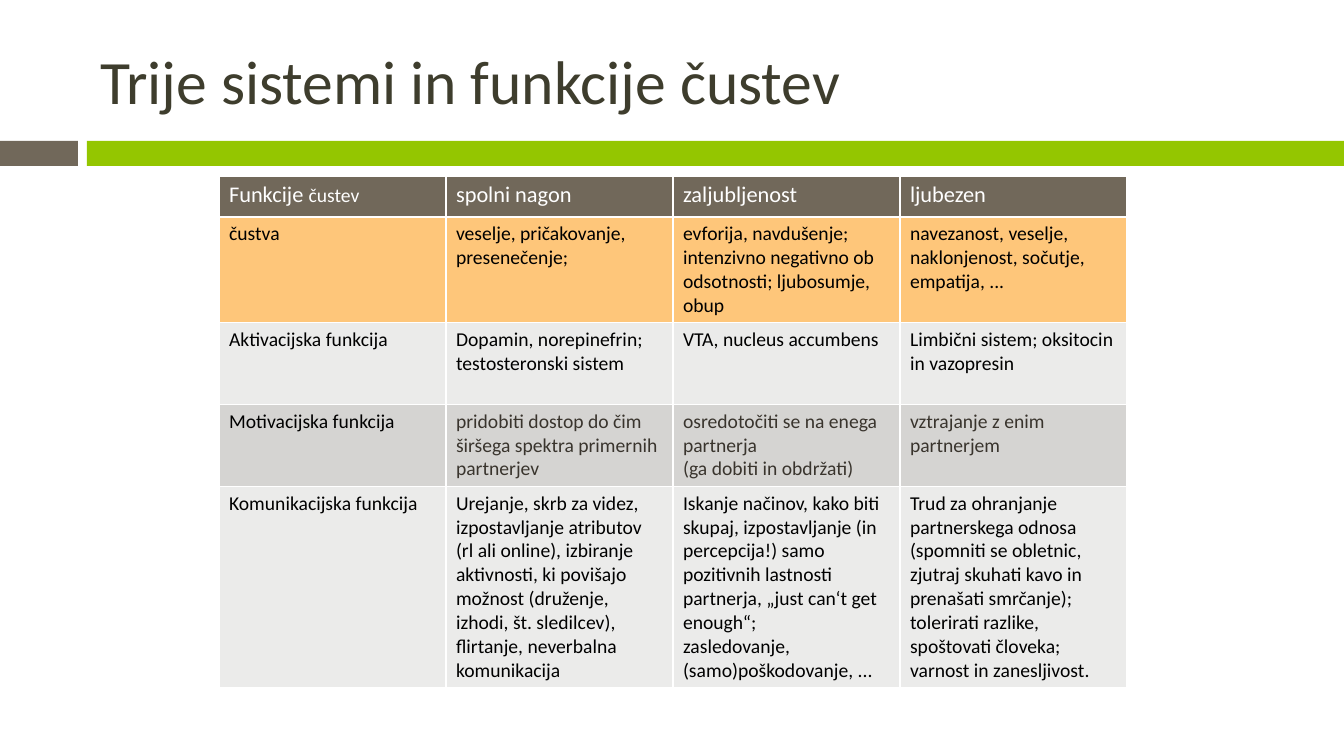
"""Build the slide on three systems and the functions of emotions."""
from dataclasses import dataclass

from lxml.etree import SubElement
from pptx import Presentation
from pptx.dml.color import RGBColor
from pptx.enum.shapes import MSO_SHAPE as Preset
from pptx.enum.text import MSO_ANCHOR as Anchor, MSO_AUTO_SIZE as AutoSize, PP_ALIGN as Align
from pptx.oxml.ns import qn
from pptx.util import Emu, Pt

EMU_PER_PX = 914400 / 100.8


@dataclass(frozen=True)
class Theme:
    font: str = "Calibri"
    title: str = "3E3D2D"
    brown: str = "71685A"
    green: str = "94C600"
    orange: str = "FEC67A"
    light: str = "EBEBEA"
    grey: str = "D5D4D2"
    white: str = "FFFFFF"
    black: str = "000000"
    muted: str = "39342D"
    title_size: int = 44
    header_size: int = 16
    body_size: int = 14
    border_width: int = 1


THEME = Theme()


@dataclass(frozen=True)
class Band:
    left: int
    width: int
    color: str


@dataclass(frozen=True)
class FunctionRow:
    height: int
    fill: str
    texts: tuple[str, ...]
    label_color: str = THEME.black
    color: str = THEME.black
    size: int = THEME.body_size
    label_tail: str = ""


BANDS = (Band(0, 78, THEME.brown), Band(87, 1257, THEME.green))

ROWS = (
    FunctionRow(41, THEME.brown, ("Funkcije ", "spolni nagon", "zaljubljenost", "ljubezen"),
                THEME.white, THEME.white, THEME.header_size, "čustev"),
    FunctionRow(105, THEME.orange, (
        "čustva",
        "veselje, pričakovanje, presenečenje;",
        "evforija, navdušenje; intenzivno negativno ob odsotnosti; ljubosumje, obup",
        "navezanost, veselje, naklonjenost, sočutje, empatija, ...")),
    FunctionRow(82, THEME.light, (
        "Aktivacijska funkcija",
        "Dopamin, norepinefrin;\ntestosteronski sistem",
        "VTA, nucleus accumbens",
        "Limbični sistem; oksitocin in vazopresin")),
    FunctionRow(82, THEME.grey, (
        "Motivacijska funkcija",
        "pridobiti dostop do čim širšega spektra primernih partnerjev",
        "osredotočiti se na enega partnerja\n(ga dobiti in obdržati)",
        "vztrajanje z enim partnerjem"), color=THEME.muted),
    FunctionRow(200, THEME.light, (
        "Komunikacijska funkcija",
        "Urejanje, skrb za videz, izpostavljanje atributov (rl ali online), izbiranje "
        "aktivnosti, ki povišajo možnost (druženje, izhodi, št. sledilcev), flirtanje, "
        "neverbalna komunikacija",
        "Iskanje načinov, kako biti skupaj, izpostavljanje (in percepcija!) samo "
        "pozitivnih lastnosti partnerja, „just can‘t get enough“;\n"
        "zasledovanje, (samo)poškodovanje, ...",
        "Trud za ohranjanje partnerskega odnosa (spomniti se obletnic, zjutraj skuhati "
        "kavo in prenašati smrčanje); tolerirati razlike, spoštovati človeka; varnost "
        "in zanesljivost.")),
)


def px(length: int) -> Emu:
    """Turn whole pixels into EMU."""
    return Emu(round(length * EMU_PER_PX))


def write(frame, text: str, *, size: int, color: str, tail: str = "") -> None:
    """Write left-aligned paragraphs, with an optional body-size tail on the last."""
    lines = text.split("\n")
    for index, line in enumerate(lines):
        paragraph = frame.paragraphs[0] if index == 0 else frame.add_paragraph()
        paragraph.alignment = Align.LEFT
        parts = [(line, size)]
        if tail and index == len(lines) - 1:
            parts.append((tail, THEME.body_size))
        for words, points in parts:
            run = paragraph.add_run()
            run.text = words
            run.font.name = THEME.font
            run.font.size = Pt(points)
            run.font.bold = False
            run.font.color.rgb = RGBColor.from_string(color)


def add_band(slide, band: Band) -> None:
    """Draw one part of the stripe under the title."""
    stripe = slide.shapes.add_shape(Preset.RECTANGLE, px(band.left), px(141),
                                    px(band.width), px(25))
    stripe.shadow.inherit = False
    stripe.fill.solid()
    stripe.fill.fore_color.rgb = RGBColor.from_string(band.color)
    stripe.line.fill.background()


def add_borders(cell) -> None:
    """Give a cell a thin white line on every side."""
    properties = cell._tc.get_or_add_tcPr()
    for side in ("a:lnL", "a:lnR", "a:lnT", "a:lnB"):
        border = SubElement(properties, qn(side), w=str(Pt(THEME.border_width)))
        SubElement(SubElement(border, qn("a:solidFill")), qn("a:srgbClr"), val=THEME.white)


def add_title(slide) -> None:
    """Place and format the title placeholder."""
    title = slide.shapes.title
    title.left, title.top, title.width, title.height = px(90), px(25), px(1199), px(109)
    frame = title.text_frame
    frame.word_wrap = True
    frame.auto_size = AutoSize.NONE
    frame.vertical_anchor = Anchor.MIDDLE
    write(frame, "Trije sistemi in funkcije čustev", size=THEME.title_size, color=THEME.title)


def add_function_table(slide) -> None:
    """Draw the table of emotion functions by system."""
    columns = len(ROWS[0].texts)
    column_width = 227
    height = sum(row.height for row in ROWS)
    table = slide.shapes.add_table(len(ROWS), columns, px(219), px(176),
                                   px(columns * column_width), px(height)).table
    for column in table.columns:
        column.width = px(column_width)
    for row_index, row in enumerate(ROWS):
        table.rows[row_index].height = px(row.height)
        for column_index, text in enumerate(row.texts):
            is_label = column_index == 0
            cell = table.cell(row_index, column_index)
            add_borders(cell)
            cell.fill.solid()
            cell.fill.fore_color.rgb = RGBColor.from_string(row.fill)
            write(cell.text_frame, text, size=row.size,
                  color=row.label_color if is_label else row.color,
                  tail=row.label_tail if is_label else "")


def main() -> None:
    """Build and save the presentation."""
    deck = Presentation()
    deck.slide_width, deck.slide_height = px(1344), px(756)
    slide = deck.slides.add_slide(deck.slide_layouts[5])
    for band in BANDS:
        add_band(slide, band)
    add_title(slide)
    add_function_table(slide)
    deck.save("out.pptx")


if __name__ == "__main__":
    main()
